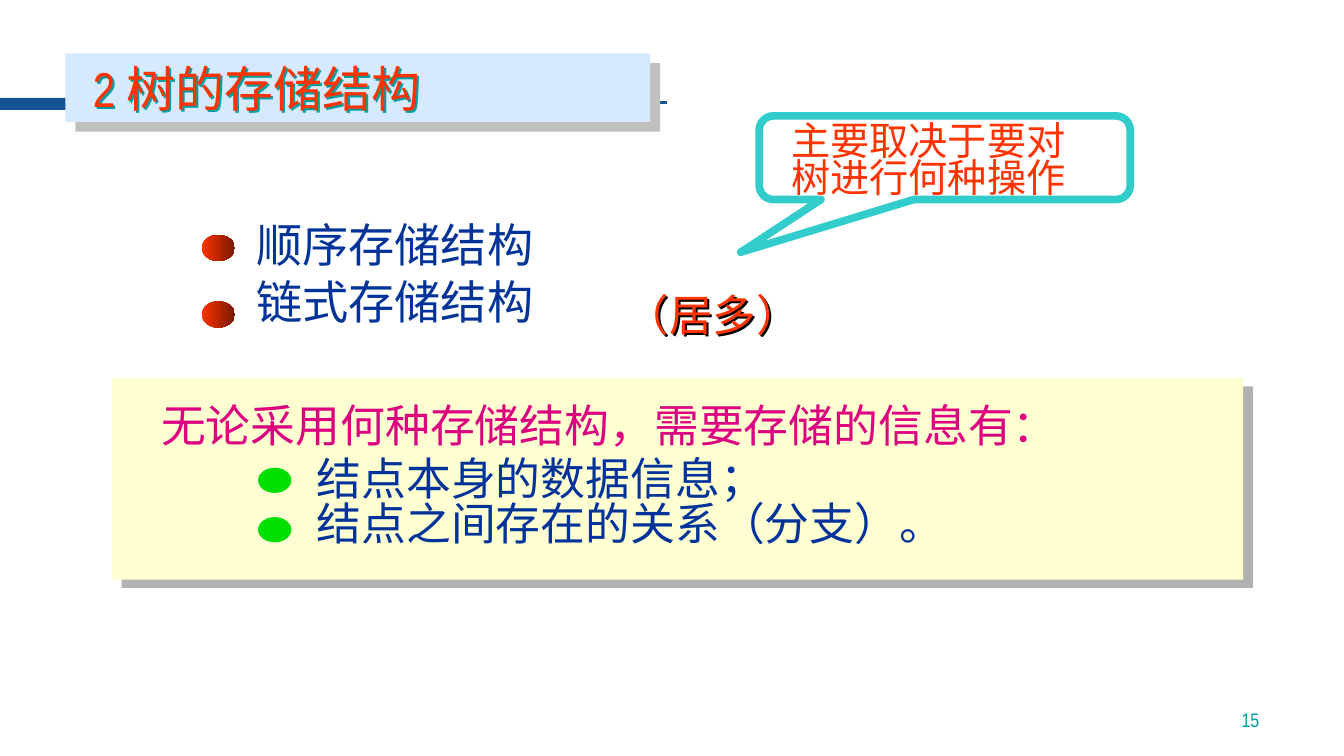
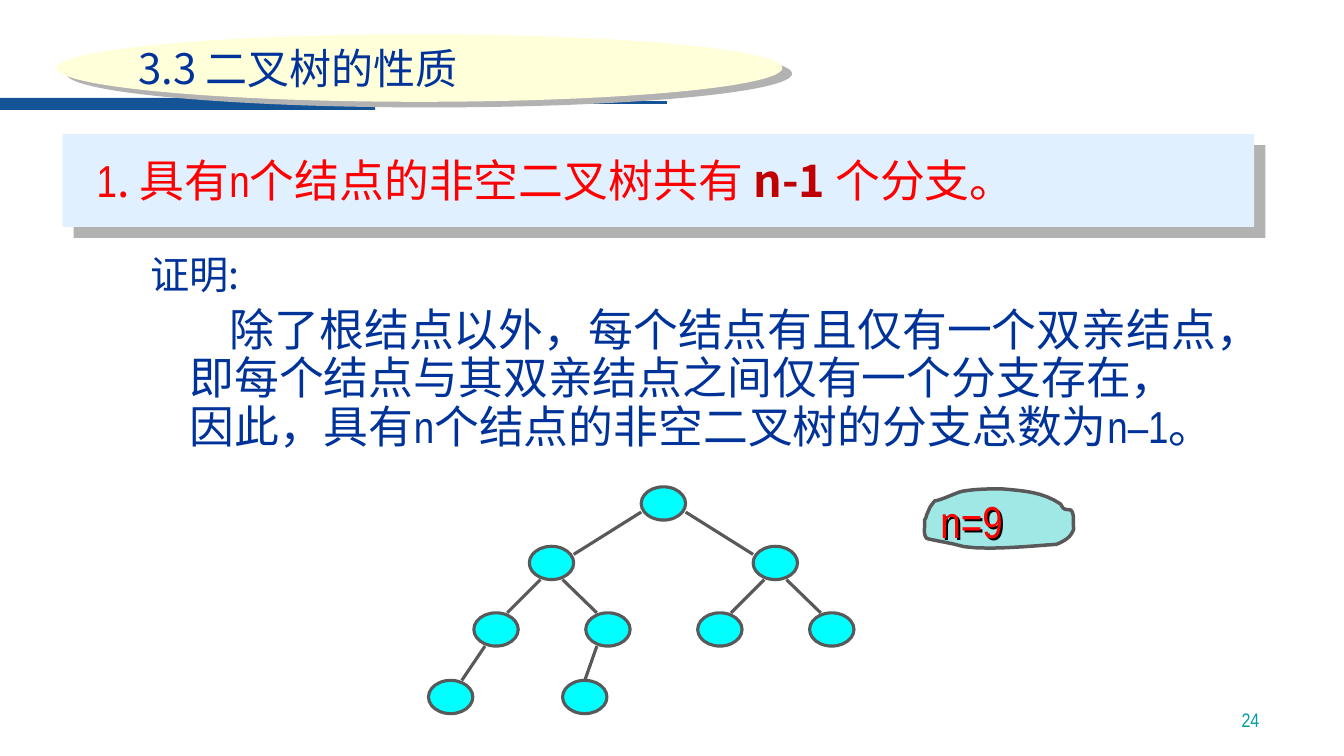
from lxml import etree
from pptx import Presentation
from pptx import util as u
from pptx.dml.color import RGBColor
from pptx.enum import shapes, text
from pptx.oxml.ns import qn

I = u.Inches
SHAPE = shapes.MSO_SHAPE
NARROW, SANS = "Arial Narrow", "Noto Sans CJK SC"
C = {
    "band": "145396", "title_box": "D5EAFF", "title_shadow": "C0C0C0",
    "orange": "FF3300", "brown": "761800", "navy": "003399", "teal": "009EA1",
    "callout": "33CCCC", "cream": "FFFFD1", "oval": "FFFFD9", "grey": "B2B2B2",
    "magenta": "DC0081", "green": "00E000", "pale_blue": "E1F0FF",
    "red": "FF0000", "dark_red": "C00000", "cyan": "00FFFF",
    "outline": "595959", "cloud": "A0E8E6", "black": "000000",
}


def rgb(name):
    return RGBColor.from_string(C[name])


def cast(sp, color, dist, angle=45):
    sp.shadow.inherit = False
    effects = sp.element.spPr.find(qn("a:effectLst"))
    shadow = etree.SubElement(
        effects, qn("a:outerShdw"), dist=str(u.Pt(dist)),
        dir=str(angle * 60000), algn="ctr", rotWithShape="0")
    etree.SubElement(shadow, qn("a:srgbClr"), val=C[color])


def style(sp, fill=None, line=None, width=2.25):
    sp.shadow.inherit = False
    if fill:
        sp.fill.solid()
        sp.fill.fore_color.rgb = rgb(fill)
    else:
        sp.fill.background()
    if line:
        sp.line.color.rgb = rgb(line)
        sp.line.width = u.Pt(width)
    else:
        sp.line.fill.background()
    return sp


def add_shape(s, kind, box, **look):
    return style(s.shapes.add_shape(kind, *map(I, box)), **look)


def add_line(s, start, end, color):
    ln = s.shapes.add_connector(
        shapes.MSO_CONNECTOR.STRAIGHT, *map(I, (*start, *end)))
    ln.line.color.rgb = rgb(color)
    ln.line.width = u.Pt(2.25)
    etree.SubElement(ln.element.spPr, qn("a:effectLst"))
    return ln


def add_text(s, box, paras, holder=None, size=32, color="navy", font=NARROW,
             spacing=None, before=0, indent=0, align="LEFT", anchor="TOP",
             grow=True):
    sp = holder or s.shapes.add_textbox(*map(I, box))
    s.shapes.element.append(sp.element)
    sp.left, sp.top, sp.width, sp.height = map(I, box)
    tf = sp.text_frame
    tf.word_wrap = True
    size_modes = text.MSO_AUTO_SIZE
    tf.auto_size = size_modes.SHAPE_TO_FIT_TEXT if grow else size_modes.NONE
    tf.vertical_anchor = text.MSO_ANCHOR[anchor]
    for i, runs in enumerate(paras):
        p = tf.add_paragraph() if i else tf.paragraphs[0]
        p.alignment = text.PP_ALIGN[align]
        p.space_before = u.Pt(before if i else 0)
        if spacing:
            p.line_spacing = spacing
        pPr = p._p.get_or_add_pPr()
        pPr.set("marL", "0")
        pPr.set("indent", str(I(indent)))
        etree.SubElement(pPr, qn("a:buNone"))
        for run in [(runs, {})] if isinstance(runs, str) else runs:
            words, own = run
            r = p.add_run()
            r.text = words
            r.font.size = u.Pt(size)
            r.font.name = own.get("font", font)
            r.font.bold = own.get("bold", False)
            r.font.color.rgb = rgb(own.get("color", color))
            latin = r.font._element.find(qn("a:latin"))
            latin.addnext(etree.Element(qn("a:ea"), typeface=SANS))
    return sp


def add_master_band(prs, s):
    bar = add_shape(s, SHAPE.RECTANGLE, (0, 0.97, 3.72, 0.12), fill="band")
    rule = add_line(s, (3.68, 1.02), (6.62, 1.02), "band")
    for i, sp in enumerate((bar, rule)):
        sp.element.xpath(".//p:cNvPr")[0].set("id", str(100 + i))
        prs.slide_master.shapes.element.insert(2 + i, sp.element)


def add_number(s, number):
    add_text(s, (9.81, 6.81, 2.78, 0.5), [number], size=14, color="teal",
             align="RIGHT", anchor="BOTTOM", grow=False)


def storage_title(s, x, y):
    box = add_shape(s, SHAPE.RECTANGLE, (x, y, 5.8, 0.68), fill="title_box")
    cast(box, "title_shadow", 9.9)
    title = add_text(s, (x + 0.17, y, 5.56, 0.68),
                     [[("2 ", {}), ("树的存储结构", {"font": SANS})]],
                     holder=s.shapes.title, size=35, color="orange")
    cast(title, "teal", 2)


def structure_list(s, x, y):
    add_text(s, (x + 0.44, y, 4.78, 1.33), ["顺序存储结构", "链式存储结构"],
             holder=s.placeholders[1], size=33, before=1)
    for i in range(2):
        dot = add_shape(s, SHAPE.OVAL, (x, y + 0.23 + 0.66 * i, 0.33, 0.26))
        dot.fill.gradient()
        dot.fill.gradient_angle = 0
        for stop, color in zip(dot.fill.gradient_stops, ("orange", "brown")):
            stop.color.rgb = rgb(color)
    remark = add_text(s, (x + 4.11, y + 0.71, 3, 0.62), ["（居多）"],
                      size=31, color="orange")
    cast(remark, "black", 2)


def callout(s, x, y):
    add_text(s, (x + 0.22, y + 0.04, 4.38, 0.85),
             ["主要取决于要对", "树进行何种操作"],
             size=28, color="orange", spacing=0.8)
    bubble = add_shape(s, SHAPE.ROUNDED_RECTANGULAR_CALLOUT,
                       (x, y, 3.68, 0.83), line="callout", width=5.5)
    for i, value in enumerate((-0.55, 1.13, 0.17)):
        bubble.adjustments[i] = value


def information_panel(s, x, y):
    panel = add_shape(s, SHAPE.RECTANGLE, (x, y, 11.22, 2), fill="cream")
    cast(panel, "grey", 9.2, 41)
    add_text(s, (x + 0.39, y + 0.15, 10.33, 0.64),
             ["无论采用何种存储结构，需要存储的信息有："], color="magenta")
    add_text(s, (x + 1.93, y + 0.77, 7.28, 1.1),
             ["结点本身的数据信息；", "结点之间存在的关系（分支）。"],
             holder=s.placeholders[2], spacing=0.82)
    for i in range(2):
        add_shape(s, SHAPE.OVAL, (x + 1.45, y + 0.89 + 0.49 * i, 0.33, 0.25),
                  fill="green")


def property_title(s, x, y):
    oval = add_shape(s, SHAPE.OVAL, (x, y, 7.2, 0.67), fill="oval")
    cast(oval, "grey", 8.1, 30)
    add_text(s, (x + 0.71, y + 0.03, 6.75, 0.6), ["3.3 二叉树的性质"],
             holder=s.shapes.title, size=30, font=SANS)


def statement(s, x, y):
    panel = add_shape(s, SHAPE.RECTANGLE, (x, y, 11.82, 0.92),
                      fill="pale_blue")
    cast(panel, "grey", 11.3)
    narrow = {"font": NARROW}
    add_text(s, (x + 0.24, y + 0.14, 11.59, 0.64),
             [[("1", narrow), (". 具有", {}), ("n", narrow),
               ("个结点的非空二叉树共有 ", {}),
               ("n-1 ", {"color": "dark_red", "bold": True}),
               ("个分支。", {})]],
             color="red", font=SANS)


def proof(s, x, y):
    add_text(s, (x, y, 1.83, 0.57), ["证明:"], size=28, font=SANS)
    narrow = {"font": NARROW}
    add_text(s, (x + 0.39, y + 0.57, 10.51, 1.56),
             [[("除了根结点以外，每个结点有且仅有一个双亲结点，"
                "即每个结点与其双亲结点之间仅有一个分支存在， 因此，具有", {}),
               ("n", narrow), ("个结点的非空二叉树的分支总数为", {}),
               ("n–1", narrow), ("。", {})]],
             holder=s.placeholders[1], font=SANS, spacing=0.9, indent=0.4)


def tree(s, x, y):
    w, h = 0.44, 0.33
    rows = [(0, (2.33,)), (0.59, (1.22, 3.44)),
            (1.25, (0.67, 1.78, 2.89, 4)), (1.92, (0.22, 1.55))]
    nodes = [(x + cx, y + top) for top, centres in rows for cx in centres]
    for cx, top in nodes:
        add_shape(s, SHAPE.OVAL, (cx - w / 2, top, w, h),
                  fill="cyan", line="outline")
    edges = [(0, 1), (0, 2), (1, 3), (1, 4), (2, 5), (2, 6), (3, 7), (4, 8)]
    for parent, child in edges:
        (px, py), (cx, cy) = nodes[parent], nodes[child]
        side = 1 if cx > px else -1
        if parent == 0:
            start = (px + side * w / 2, py + 0.25)
            end = (cx - side * w / 2, cy + 0.08)
        else:
            start = (px + side * w / 4, py + h)
            end = (cx - side * w / 4 if abs(cx - px) > 0.3 else cx, cy)
        add_line(s, start, end, "outline")


def bezier(p0, curve, steps=8):
    x1, y1, x2, y2, x3, y3 = curve
    for k in range(1, steps + 1):
        t = k / steps
        a, b, c, d = (1 - t) ** 3, 3 * t * (1 - t) ** 2, 3 * t * t * (1 - t), t ** 3
        yield (a * p0[0] + b * x1 + c * x2 + d * x3,
               a * p0[1] + b * y1 + c * y2 + d * y3)


def count_cloud(s, x, y):
    curves = [
        (0.67, 0, 0.54, 0, 0.42, 0.02), (0.36, 0.02, 0.2, 0.11, 0.12, 0.12),
        (0.06, 0.2, 0.09, 0.15, 0.04, 0.26), (0.04, 0.28, 0.02, 0.31, 0.02, 0.31),
        (0.03, 0.37, 0, 0.44, 0.04, 0.49), (0.05, 0.5, 0.29, 0.54, 0.32, 0.55),
        (0.52, 0.63, 1.15, 0.56, 1.33, 0.55), (1.42, 0.51, 1.47, 0.48, 1.5, 0.4),
        (1.49, 0.34, 1.51, 0.27, 1.48, 0.22), (1.47, 0.2, 1.43, 0.21, 1.41, 0.2),
        (1.39, 0.19, 1.38, 0.17, 1.37, 0.15), (1.19, 0.03, 1.01, 0.02, 0.79, 0),
    ]
    points = [(0.79, 0)]
    for curve in curves:
        points += list(bezier(points[-1], curve))
    points = [(I(x + px), I(y + py)) for px, py in points]
    fb = s.shapes.build_freeform(*points[0], scale=1.0)
    fb.add_line_segments(points[1:], close=True)
    style(fb.convert_to_shape(), fill="cloud", line="outline", width=2.5)
    label = add_text(s, (x + 0.08, y, 1.33, 0.63), ["n=9"], color="red")
    cast(label, "black", 2)


def storage_slide(s):
    storage_title(s, 0.65, 0.53)
    structure_list(s, 2, 2.1)
    callout(s, 7.53, 1.15)
    information_panel(s, 1.11, 3.75)
    add_number(s, "15")


def property_slide(s):
    property_title(s, 0.56, 0.34)
    statement(s, 0.62, 1.33)
    proof(s, 1.39, 2.43)
    tree(s, 4.25, 4.83)
    count_cloud(s, 9.15, 4.85)
    add_number(s, "24")


def main():
    prs = Presentation()
    prs.slide_width, prs.slide_height = I(13.33), I(7.5)
    first = prs.slides.add_slide(prs.slide_layouts[3])
    add_master_band(prs, first)
    storage_slide(first)
    property_slide(prs.slides.add_slide(prs.slide_layouts[1]))
    prs.save("out.pptx")


if __name__ == "__main__":
    main()
